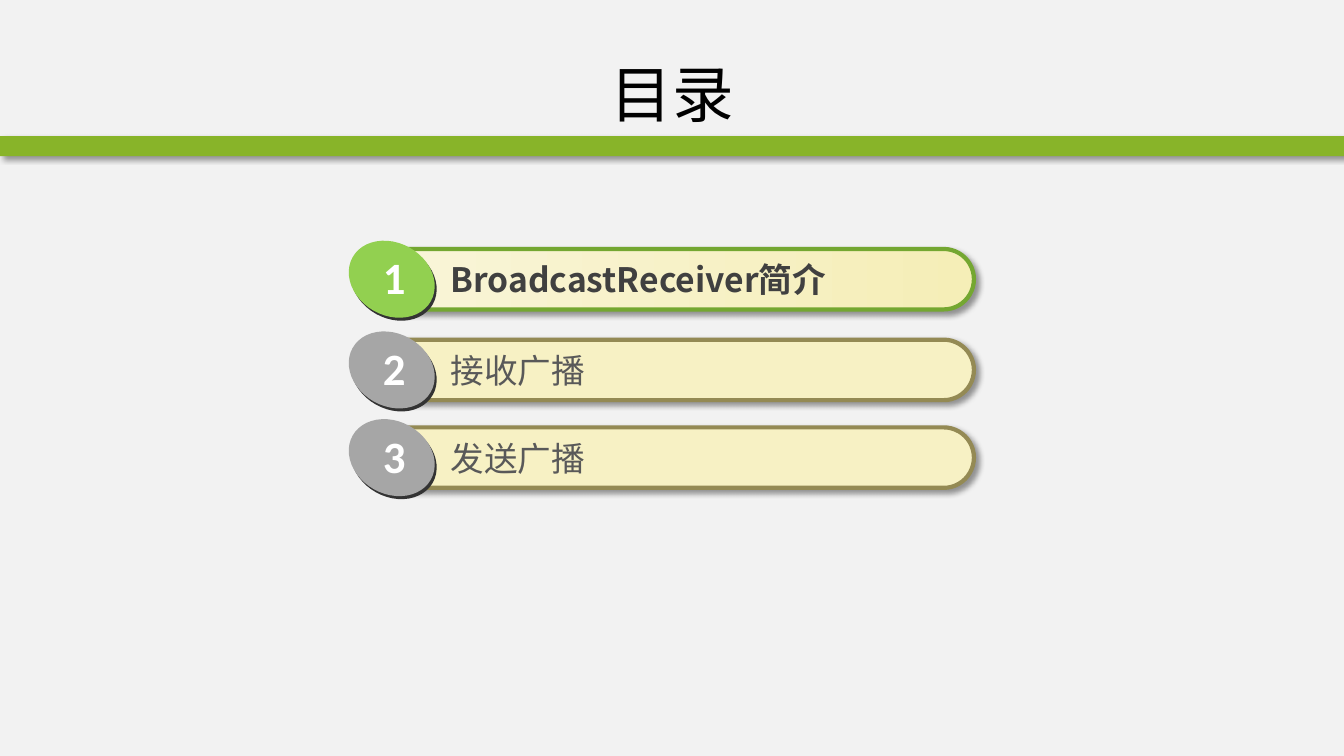
import pptx
import pptx.util
import pptx.dml.color
import pptx.enum.shapes
import pptx.enum.text
import pptx.oxml
import pptx.oxml.ns
from pptx.util import Inches

THEME = {
    "back": "F2F2F2", "bar": "88B429", "title": "000000", "digit": "FFFFFF", "under": "333333",
    "on": {"fill": ["F9F5D9", "F5EEB7"], "line": "74A731", "badge": "92D050", "text": "404040"},
    "off": {"fill": ["F7F1C4"], "line": "948A54", "badge": "A6A6A6", "text": "595959"},
    "cjk": "Noto Sans CJK SC", "latin": "Calibri",
    "title_pt": 44, "item_pt": 24, "digit_pt": 32, "line_pt": 3,
}
KIND = pptx.enum.shapes.MSO_SHAPE
RGB = pptx.dml.color.RGBColor.from_string
SHADOW = (
    f'<a:outerShdw {pptx.oxml.ns.nsdecls("a")} blurRad="50800" dist="38100" dir="2700000" '
    'algn="tl" rotWithShape="0"><a:srgbClr val="000000"><a:alpha val="40000"/>'
    '</a:srgbClr></a:outerShdw>'
)


def draw(home, kind, box, fills, shade=False):
    """Add a borderless shape with a plain or two-colour fill."""
    shape = home.add_shape(kind, *map(Inches, box))
    if len(fills) == 1:
        shape.fill.solid()
        shape.fill.fore_color.rgb = RGB(fills[0])
    else:
        shape.fill.gradient()
        shape.fill.gradient_angle = 0
        for stop, color in zip(shape.fill.gradient_stops, fills):
            stop.color.rgb = RGB(color)
    shape.line.fill.background()
    shape.shadow.inherit = False
    if shade:
        effects = shape._element.spPr.find(pptx.oxml.ns.qn("a:effectLst"))
        effects.append(pptx.oxml.parse_xml(SHADOW))
    return shape


def write(shape, text, size, color, face, bold=False):
    """Set the text of a shape and format its run."""
    shape.text_frame.text = text
    run = shape.text_frame.paragraphs[0].runs[0]
    run.font.size = pptx.util.Pt(size)
    run.font.bold = bold
    run.font.color.rgb = RGB(color)
    run.font.name = face
    east = pptx.oxml.parse_xml(f'<a:ea {pptx.oxml.ns.nsdecls("a")} typeface="{face}"/>')
    run.font._element.find(pptx.oxml.ns.qn("a:latin")).addnext(east)


deck = pptx.Presentation()
deck.slide_width = Inches(13.33)
deck.slide_height = Inches(7.5)
slide = deck.slides.add_slide(deck.slide_layouts[5])
slide.background.fill.solid()
slide.background.fill.fore_color.rgb = RGB(THEME["back"])

draw(slide.shapes, KIND.RECTANGLE, (0, 1.35, 13.33, 0.2), [THEME["bar"]], shade=True)

title = slide.shapes.title
title.left, title.top, title.width, title.height = map(Inches, (0.67, 0.3, 12, 1.25))
write(title, "目录", THEME["title_pt"], THEME["title"], THEME["cjk"])
title.text_frame.vertical_anchor = pptx.enum.text.MSO_ANCHOR.MIDDLE
title.text_frame.paragraphs[0].alignment = pptx.enum.text.PP_ALIGN.CENTER

items = [
    ("BroadcastReceiver简介", 2.47, "on"),
    ("接收广播", 3.37, "off"),
    ("发送广播", 4.24, "off"),
]
for number, (text, top, state) in enumerate(items, 1):
    look = THEME[state]
    group = slide.shapes.add_group_shape().shapes

    pill = draw(group, KIND.ROUNDED_RECTANGLE, (3.66, top, 6, 0.6), look["fill"], shade=True)
    pill.adjustments[0] = 0.5
    pill.line.color.rgb = RGB(look["line"])
    pill.line.width = pptx.util.Pt(THEME["line_pt"])

    label = group.add_textbox(*map(Inches, (4.37, top + 0.05, 4.59, 0.51)))
    label.text_frame.word_wrap = True
    write(label, text, THEME["item_pt"], look["text"], THEME["cjk"], bold=state == "on")

    for left, rise, color in ((3.46, 0.03, THEME["under"]), (3.44, 0.06, look["badge"])):
        badge = draw(group, KIND.OVAL, (left, top - rise, 0.89, 0.72), [color])
        badge.rotation = 29.3

    digit = group.add_textbox(*map(Inches, (3.7, top - 0.04, 0.43, 0.64)))
    digit.text_frame.word_wrap = False
    write(digit, str(number), THEME["digit_pt"], THEME["digit"], THEME["latin"], bold=True)

deck.save("out.pptx")
